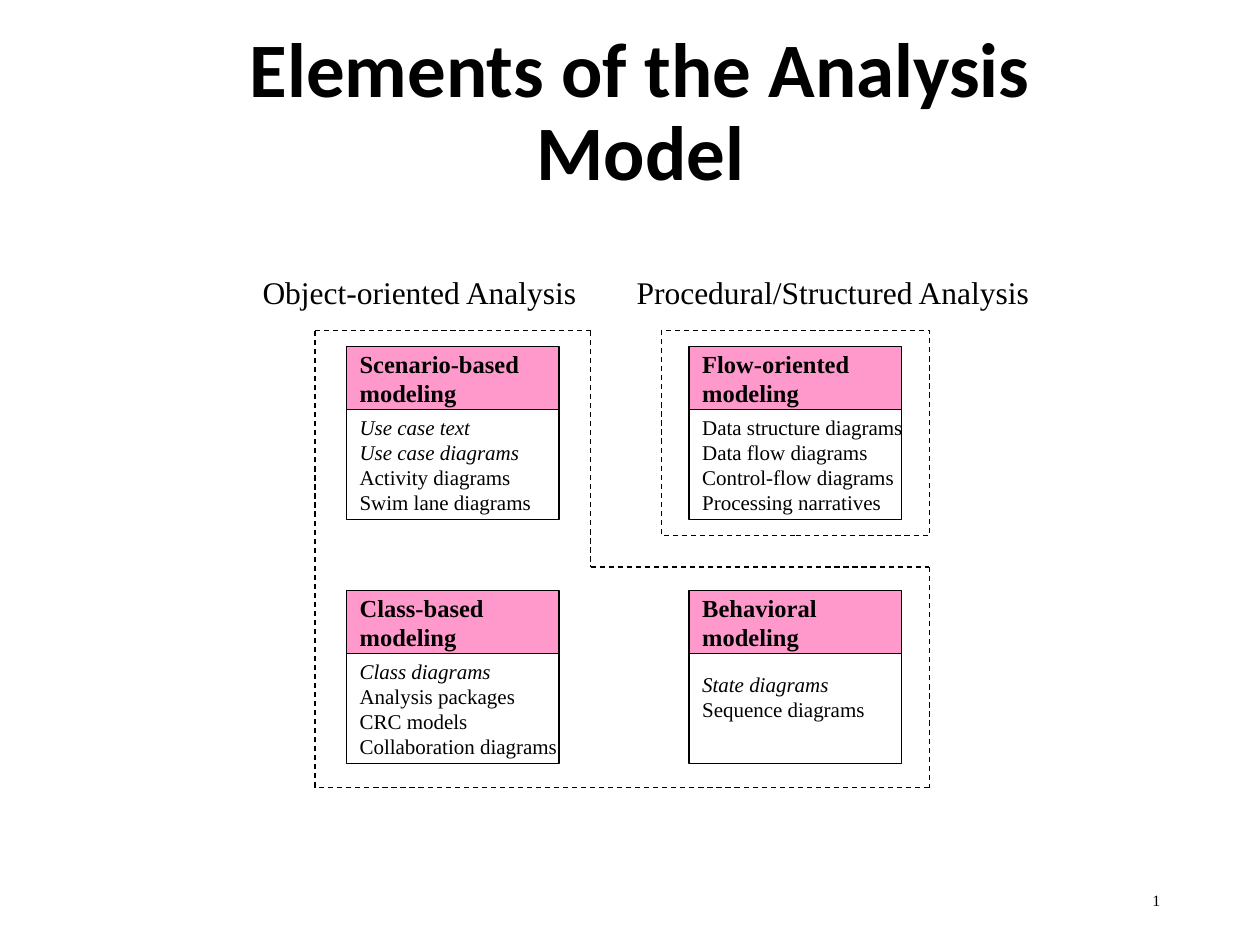
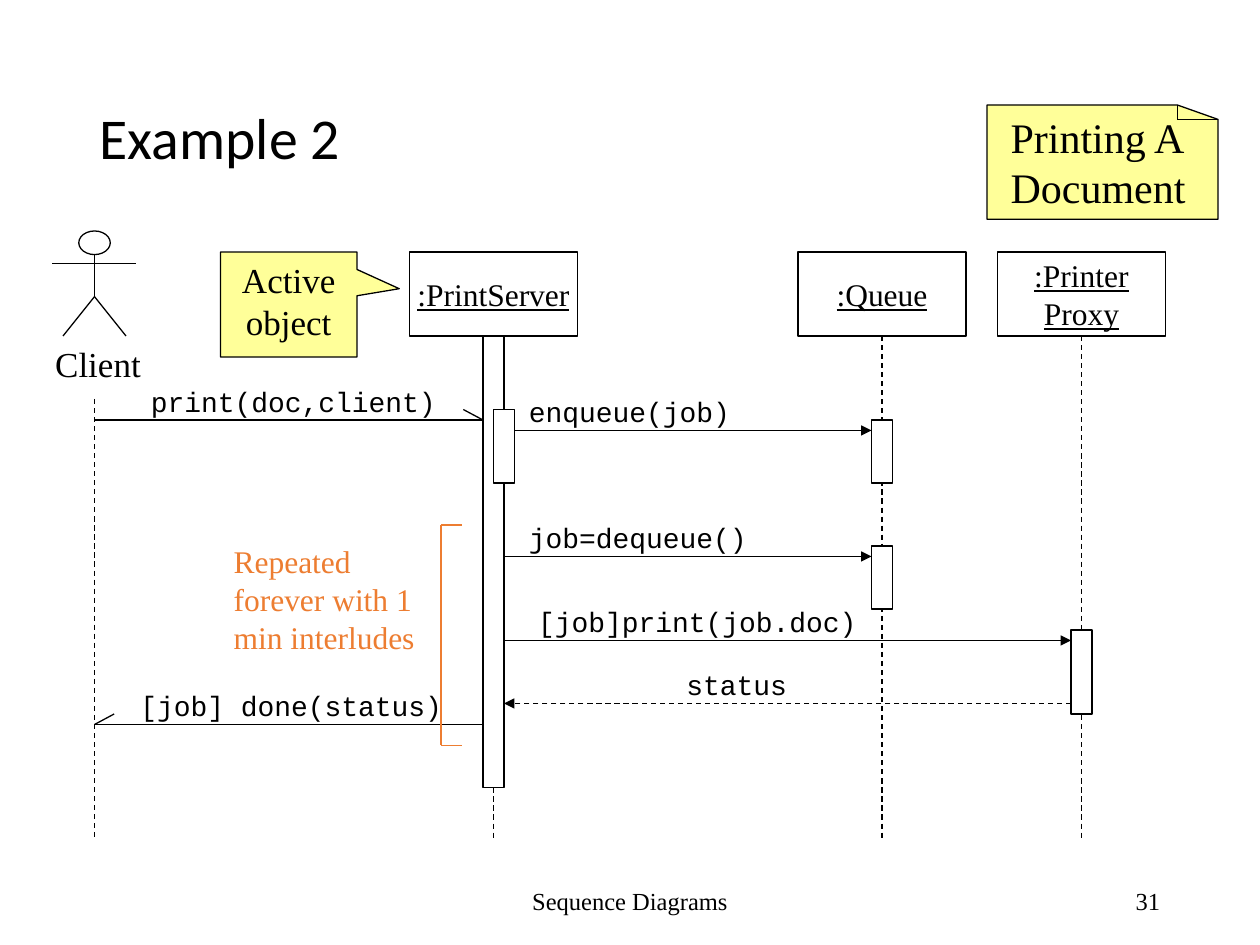
from dataclasses import dataclass
from itertools import pairwise

from lxml import etree
from pptx import Presentation
from pptx import util as u
from pptx.dml.color import RGBColor
from pptx.enum import dml, shapes, text
from pptx.oxml.ns import qn
from pptx.presentation import Presentation as Deck
from pptx.shapes.base import BaseShape
from pptx.slide import Slide
from pptx.text.text import TextFrame

PX = 9525  # EMU in one px, 96 px to the inch
Point = tuple[int, int]
Box = tuple[int, int, int, int]
LEFT, CENTER, RIGHT = text.PP_ALIGN.LEFT, text.PP_ALIGN.CENTER, text.PP_ALIGN.RIGHT
TOP, MIDDLE = text.MSO_ANCHOR.TOP, text.MSO_ANCHOR.MIDDLE
RECT = shapes.MSO_SHAPE.RECTANGLE


@dataclass(frozen=True)
class Theme:
    ink: str = "000000"
    paper: str = "FFFFFF"
    pink: str = "FF99CC"
    note: str = "FFFF99"
    accent: str = "ED7D31"
    title_font: str = "Calibri"
    body_font: str = "Times New Roman"
    code_font: str = "Courier New"
    big_title: int = 44
    title: int = 33
    note_size: int = 24
    actor: int = 20
    label: int = 18
    code: int = 16
    heading: int = 14
    item: int = 12
    small: int = 9
    line: float = 0.75


T = Theme()


@dataclass(frozen=True)
class Model:
    x: int
    y: int
    heading: str
    diagrams: str
    italic_lines: int = 0
    bottom: int = 5


@dataclass(frozen=True)
class Lifeline:
    name: str
    x: int


@dataclass(frozen=True)
class Message:
    call: str
    text_x: int
    text_w: int
    start: int
    end: int
    y: int
    half_head: bool = False
    dash: bool = False


# Shared drawing functions
def emu(*lengths: int) -> list[int]:
    return [v * PX for v in lengths]


def write(tf: TextFrame, *paras: str, size: int = T.label, font: str = T.body_font,
          color: str = T.ink, bold: bool = False, underline: bool = False,
          italic_lines: int = 0, align: text.PP_ALIGN = LEFT,
          anchor: text.MSO_ANCHOR = TOP, wrap: bool = False,
          spacing: float = 1.0, bottom: int = 5) -> None:
    tf.word_wrap, tf.vertical_anchor = wrap, anchor
    tf.auto_size = text.MSO_AUTO_SIZE.NONE
    tf.margin_left = tf.margin_right = 10 * PX
    tf.margin_top, tf.margin_bottom = emu(5, bottom)
    for i, para in enumerate(paras):
        p = tf.add_paragraph() if i else tf.paragraphs[0]
        p.text, p.alignment, p.line_spacing = para, align, spacing
        for r in p.runs:
            f = r.font
            f.name, f.size = font, u.Pt(size)
            f.bold, f.italic, f.underline = bold, i < italic_lines, underline
            f.color.rgb = RGBColor.from_string(color)


def textbox(s: Slide, box: Box, *paras: str, **fmt) -> None:
    write(s.shapes.add_textbox(*emu(*box)).text_frame, *paras, **fmt)


def outline(sp: BaseShape, fill: str | None, dash: bool = False) -> None:
    sp.shadow.inherit = False
    if fill:
        sp.fill.solid()
        sp.fill.fore_color.rgb = RGBColor.from_string(fill)
    else:
        sp.fill.background()
    sp.line.color.rgb = RGBColor.from_string(T.ink)
    sp.line.width = u.Pt(T.line)
    if dash:
        sp.line.dash_style = dml.MSO_LINE.DASH


def shape(s: Slide, box: Box, fill: str | None = None,
          kind: shapes.MSO_SHAPE = RECT, dash: bool = False) -> BaseShape:
    sp = s.shapes.add_shape(kind, *emu(*box))
    outline(sp, fill, dash)
    return sp


def lines(s: Slide, *points: Point, color: str = T.ink, dash: bool = False,
          arrow: bool = False) -> None:
    """Join the points with straight connectors."""
    for a, b in pairwise(points):
        cn = s.shapes.add_connector(shapes.MSO_CONNECTOR.STRAIGHT, *emu(*a, *b))
        cn.line.color.rgb = RGBColor.from_string(color)
        cn.line.width = u.Pt(T.line)
        if dash:
            cn.line.dash_style = dml.MSO_LINE.DASH
        sp_pr = cn._element.spPr
        if arrow:
            etree.SubElement(sp_pr.find(qn("a:ln")), qn("a:tailEnd"), type="triangle")
        etree.SubElement(sp_pr, qn("a:effectLst"))


def new_slide(prs: Deck, title: str, box: Box, number: str, number_size: int,
              **fmt) -> Slide:
    s = prs.slides.add_slide(prs.slide_layouts[5])
    sp = s.shapes.title
    sp.left, sp.top, sp.width, sp.height = emu(*box)
    write(sp.text_frame, title, font=T.title_font, anchor=MIDDLE, wrap=True,
          spacing=0.9, **fmt)
    textbox(s, (678, 667, 216, 38), number, size=number_size, align=RIGHT,
            anchor=MIDDLE, wrap=True)
    return s


# Slide 1: four kinds of model, grouped by dashed outlines
COLS, ROWS = (264, 525), (264, 450)
MODELS = [
    Model(COLS[0], ROWS[0], "Scenario-based",
          "Use case text|Use case diagrams|Activity diagrams|Swim lane diagrams", 2),
    Model(COLS[0], ROWS[1], "Class-based",
          "Class diagrams|Analysis packages|CRC models|Collaboration diagrams", 1),
    Model(COLS[1], ROWS[0], "Flow-oriented",
          "Data structure diagrams|Data flow diagrams|Control-flow diagrams|"
          "Processing narratives"),
    Model(COLS[1], ROWS[1], "Behavioral", "State diagrams|Sequence diagrams", 1, 24),
]


def draw_model(s: Slide, m: Model) -> None:
    width, head_h, body_h = 162, 48, 84
    body = shape(s, (m.x, m.y + head_h, width, body_h), T.paper)
    write(body.text_frame, *m.diagrams.split("|"), size=T.item, anchor=MIDDLE,
          italic_lines=m.italic_lines, bottom=m.bottom)
    head = shape(s, (m.x, m.y, width, head_h), T.pink)
    write(head.text_frame, m.heading, "modeling", size=T.heading, bold=True,
          anchor=MIDDLE)


def analysis_slide(prs: Deck) -> None:
    s = new_slide(prs, "Elements of the Analysis Model", (104, 57, 768, 60), "1",
                  T.small, size=T.big_title, bold=True, align=CENTER)
    for m in MODELS:
        draw_model(s, m)
    shape(s, (504, 252, 204, 156), dash=True)
    lines(s, (240, 252), (450, 252), (450, 432), (708, 432), (708, 600),
          (240, 600), (240, 252), dash=True)
    textbox(s, (190, 203, 259, 38), "Object-oriented Analysis")
    textbox(s, (475, 203, 320, 38), "Procedural/Structured Analysis")


# Slide 2: sequence diagram
CLIENT_X, LIFE_END = 72, 640
HEAD_TOP, HEAD_W, HEAD_H = 192, 128, 64
BAR_W = 16
LIFELINES = [Lifeline(":PrintServer", 376), Lifeline(":Queue", 672),
             Lifeline(":Printer\nProxy", 824)]
BARS = [(368, 256, 344), (376, 312, 56), (664, 320, 48), (664, 416, 48),
        (816, 480, 64)]  # left, top, height
MESSAGES = [
    Message("print(doc,client)", 105, 236, CLIENT_X, 368, 320, half_head=True),
    Message("enqueue(job)", 393, 172, 392, 664, 328),
    Message("job=dequeue()", 393, 185, 384, 664, 424),
    Message("[job]print(job.doc)", 400, 262, 384, 816, 488),
    Message("status", 513, 96, 816, 384, 536, dash=True),
    Message("[job] done(status)", 97, 249, 368, CLIENT_X, 552, half_head=True),
]


def draw_client(s: Slide) -> None:
    x, hip, foot = CLIENT_X, 226, 256
    lines(s, (x - 24, foot), (x, hip), (x + 24, foot))
    lines(s, (x, hip), (x, 194))
    lines(s, (x - 32, 201), (x + 32, 201))
    shape(s, (x - 12, 176, 24, 18), kind=shapes.MSO_SHAPE.OVAL)
    textbox(s, (32, foot, 84, 42), "Client", size=T.actor)
    lines(s, (x, 304), (x, LIFE_END), dash=True)


def draw_lifeline(s: Slide, life: Lifeline) -> None:
    head = shape(s, (life.x - HEAD_W // 2, HEAD_TOP, HEAD_W, HEAD_H))
    write(head.text_frame, life.name, underline=True, align=CENTER, anchor=MIDDLE)
    lines(s, (life.x, HEAD_TOP + HEAD_H), (life.x, LIFE_END), dash=True)


def draw_message(s: Slide, m: Message) -> None:
    lines(s, (m.start, m.y), (m.end, m.y), dash=m.dash, arrow=not m.half_head)
    if m.half_head:
        back = -15 if m.end > m.start else 15
        lines(s, (m.end, m.y), (m.end + back, m.y - 8))
    textbox(s, (m.text_x, m.y - 32, m.text_w, 35), m.call, size=T.code,
            font=T.code_font)


def draw_note(s: Slide) -> None:
    left, top, right, bottom = 752, 80, 928, 167
    fold_x, fold_y = 897, 91
    fb = s.shapes.build_freeform(left, top, scale=PX)
    fb.add_line_segments([(left, bottom), (right, bottom), (right, fold_y),
                          (fold_x, top)], close=True)
    outline(fb.convert_to_shape(), T.note)
    lines(s, (fold_x, top), (fold_x, fold_y), (right, fold_y))
    textbox(s, (760, top, 157, 96), "Printing A", "Document", size=T.note_size,
            wrap=True)


def sequence_slide(prs: Deck) -> None:
    s = new_slide(prs, "Example 2", (66, 38, 828, 139), "31", T.heading, size=T.title)
    textbox(s, (318, 667, 324, 38), "Sequence Diagrams", size=T.heading,
            align=CENTER, anchor=MIDDLE, wrap=True)
    draw_client(s)
    for life in LIFELINES:
        draw_lifeline(s, life)
    for x, y, h in BARS:
        shape(s, (x, y, BAR_W, h), T.paper)
    for m in MESSAGES:
        draw_message(s, m)
    draw_note(s)
    # Loop remark and its bracket
    textbox(s, (168, 408, 160, 96), "Repeated forever with 1 min interludes",
            color=T.accent, wrap=True)
    lines(s, (352, 400), (336, 400), (336, 568), (352, 568), color=T.accent)
    # Callout pointing at the active object
    sp = shape(s, (168, HEAD_TOP, 104, 80), T.note,
               shapes.MSO_SHAPE.RECTANGULAR_CALLOUT)
    sp.adjustments[0], sp.adjustments[1] = 0.81, -0.15
    write(sp.text_frame, "Active object", size=T.actor, align=CENTER, wrap=True)


def main() -> None:
    prs = Presentation()
    prs.slide_width, prs.slide_height = emu(960, 720)
    analysis_slide(prs)
    sequence_slide(prs)
    prs.save("out.pptx")


if __name__ == "__main__":
    main()
